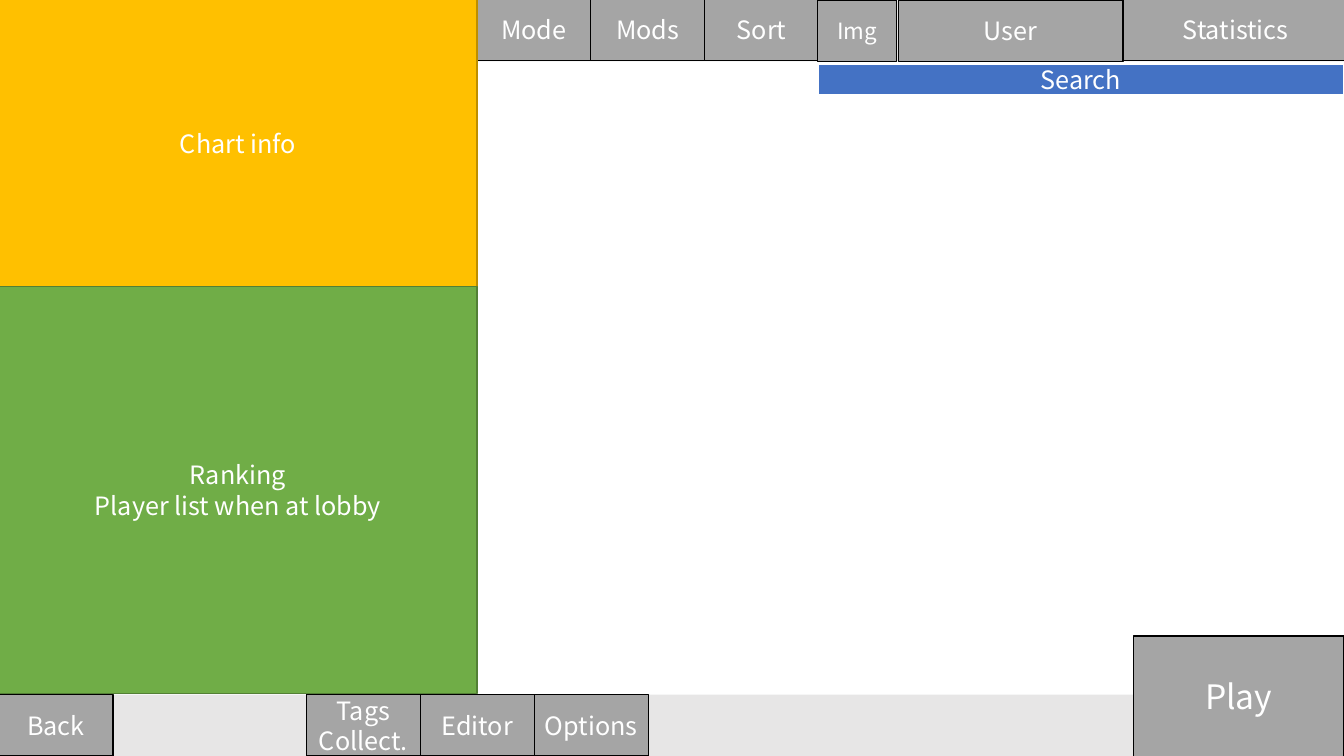
from pptx import Presentation
from pptx.dml.color import RGBColor
from pptx.enum.shapes import MSO_SHAPE as SHAPE
from pptx.enum.text import MSO_ANCHOR as ANCHOR, PP_ALIGN as ALIGN
from pptx.util import Inches, Pt

W, H = 13.33, 7.5
FONT = "Noto Sans CJK KR"
BAR_H = 0.61       # height of the top and bottom bars
BUTTON_W = 1.13    # width of a standard button
SIDE_W = 4.74      # width of the left column


def color(value):
    return RGBColor.from_string(value)


def block(s, box, text="", fill="A5A5A5", line="000000", size=18, weight=1):
    sp = s.shapes.add_shape(SHAPE.RECTANGLE, *(Inches(v) for v in box))
    sp.shadow.inherit = False
    sp.fill.solid()
    sp.fill.fore_color.rgb = color(fill)
    if line:
        sp.line.color.rgb = color(line)
        sp.line.width = Pt(weight)
    else:
        sp.line.fill.background()
    if not text:
        return
    tf = sp.text_frame
    tf.text = text
    tf.word_wrap = True
    tf.vertical_anchor = ANCHOR.MIDDLE
    tf.margin_left = tf.margin_right = Inches(0.05)
    for p in tf.paragraphs:
        p.alignment = ALIGN.CENTER
        for r in p.runs:
            r.font.name = FONT
            r.font.size = Pt(size)
            r.font.color.rgb = color("FFFFFF")


def bar(s, y):
    block(s, (0, y, W, BAR_H), fill="E7E6E6", line=None)


def button_row(s, x, y, labels):
    for i, label in enumerate(labels):
        block(s, (x + i * BUTTON_W, y, BUTTON_W, BAR_H), label)


def side_column(s, x, y, w):
    block(s, (x, y, w, 2.87), "Chart info", "FFC000", "BD8E00")
    block(s, (x, y + 2.85, w, 4.04), "Ranking\nPlayer list when at lobby",
          "70AD47", "538035")


def top_bar(s, x, y):
    bar(s, y)
    button_row(s, x, y - 0.01, ["Mode", "Mods", "Sort"])
    # User area, with the search field below it
    user_x, user_w = 8.91, 2.23
    img_x = user_x - 0.8
    block(s, (img_x, y, 0.78, BAR_H), "Img", size=16)
    block(s, (user_x, y, user_w, BAR_H), "User")
    block(s, (user_x + user_w, y - 0.01, user_w, BAR_H), "Statistics")
    block(s, (img_x, y + 0.63, W - img_x, 0.31), "Search",
          "4472C4", "FFFFFF", weight=1.5)


def bottom_bar(s, y):
    bar(s, y)
    button_row(s, -0.01, y, ["Back"])
    button_row(s, 3.04, y, ["Tags\vCollect.", "Editor", "Options"])
    # Play button rises above the bar
    play_w, play_h = 2.09, 1.2
    block(s, (W - play_w, H - play_h + 0.01, play_w, play_h), "Play", size=24)


def main():
    prs = Presentation()
    prs.slide_width, prs.slide_height = Inches(W), Inches(H)
    s = prs.slides.add_slide(prs.slide_layouts[6])
    top_bar(s, SIDE_W - 0.01, 0)
    bottom_bar(s, H - BAR_H)
    side_column(s, -0.01, -0.01, SIDE_W)
    prs.save("out.pptx")


if __name__ == "__main__":
    main()
